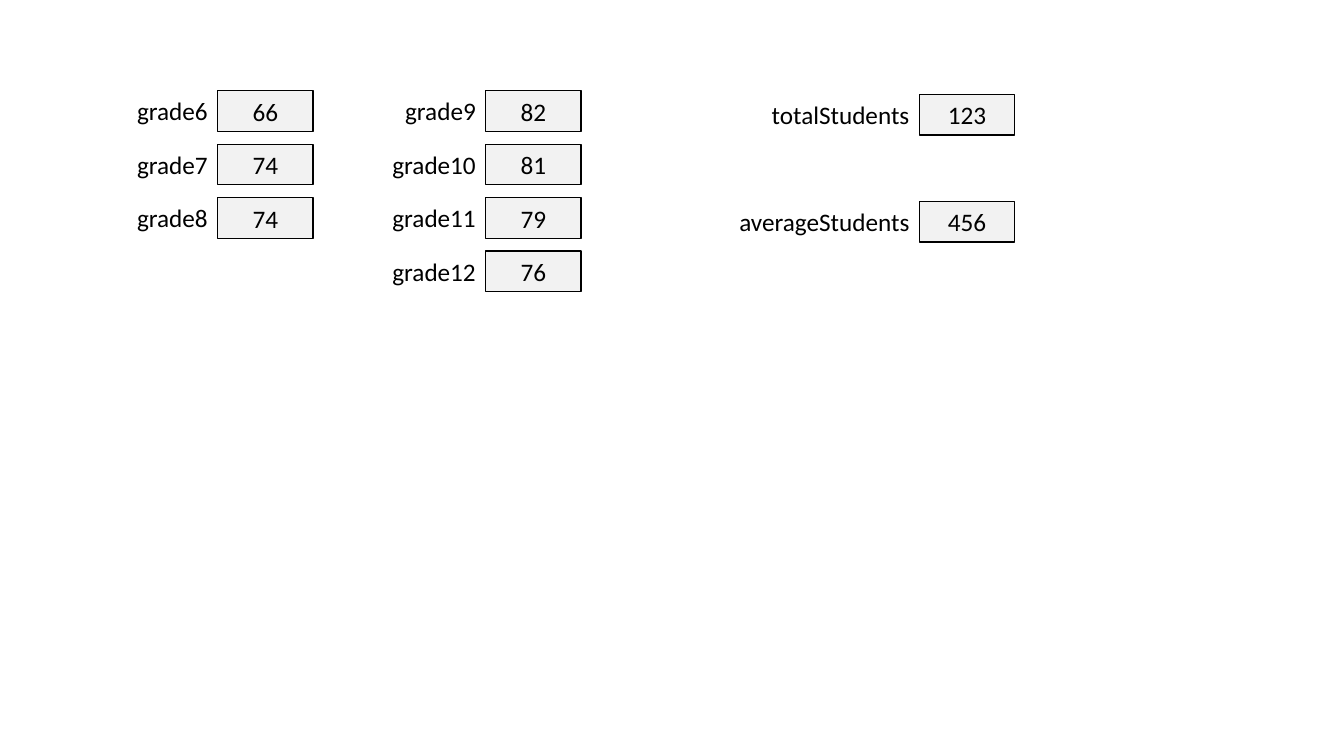
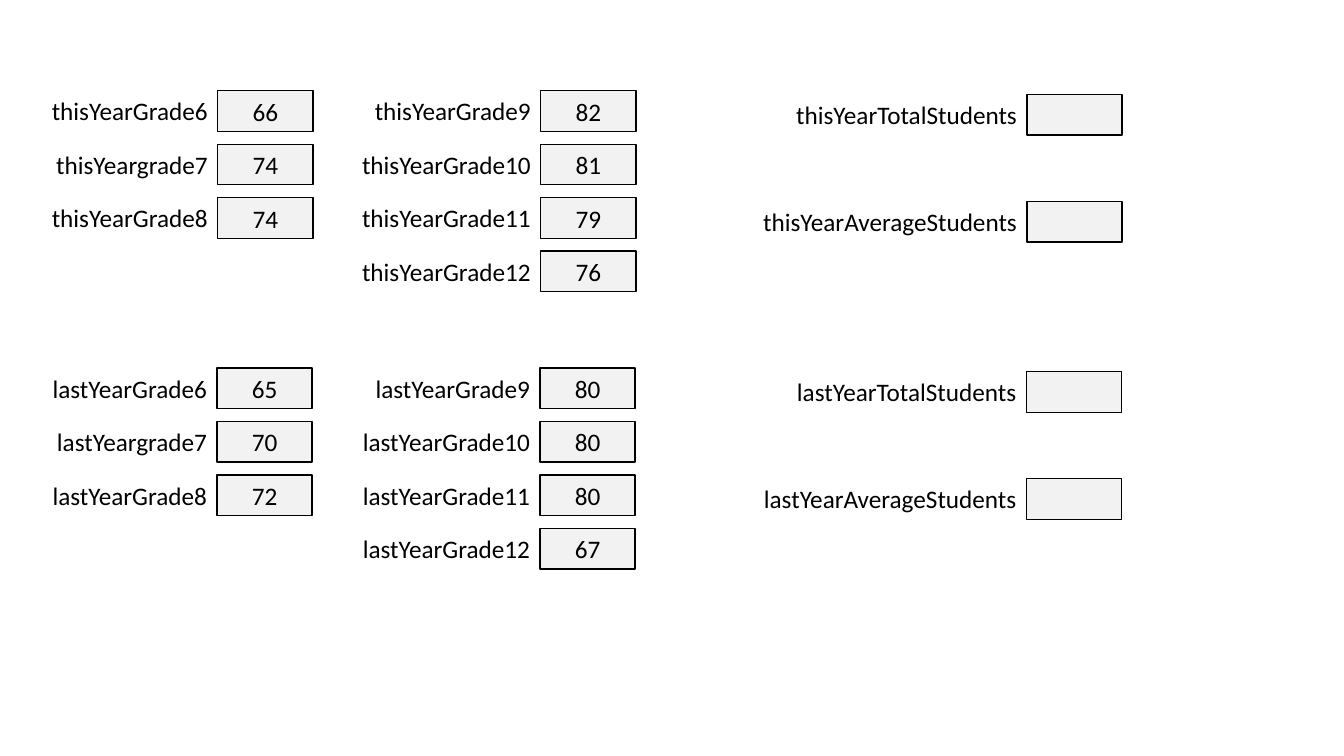
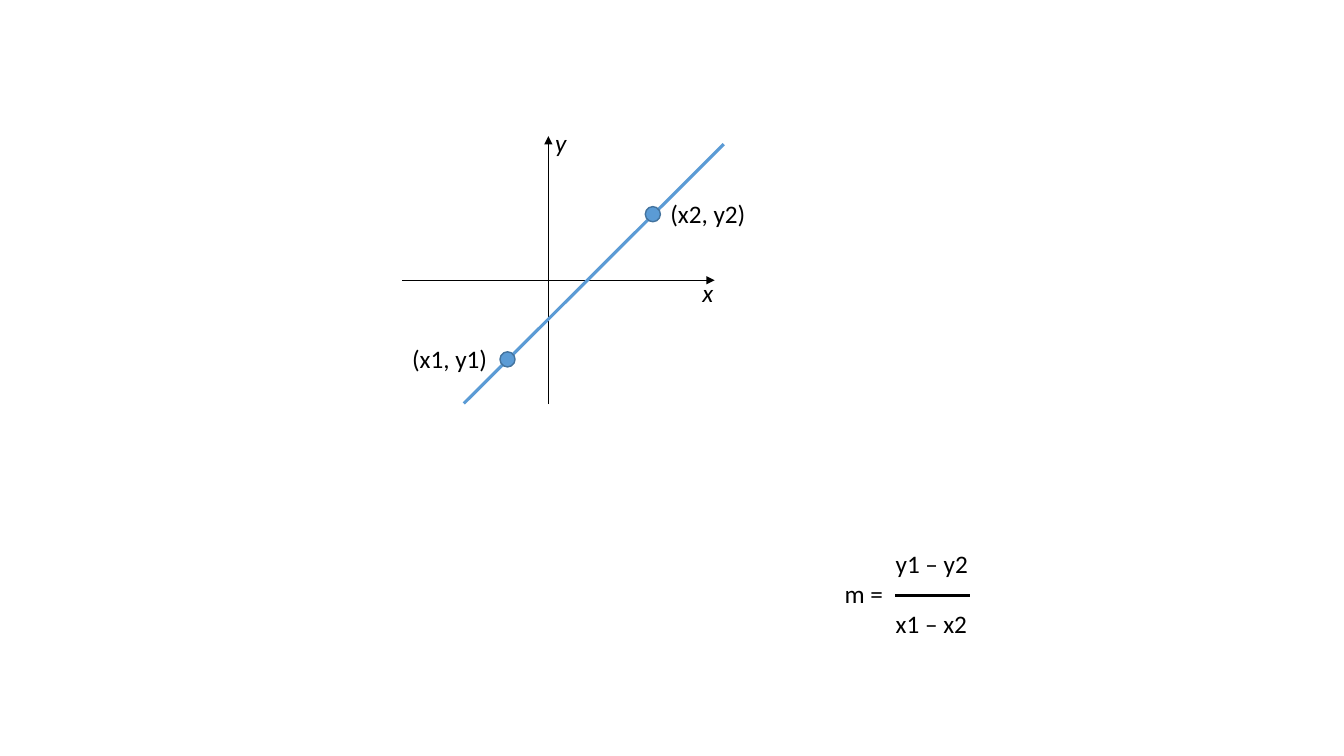
from lxml import etree
from pptx import Presentation
from pptx.dml.color import RGBColor
from pptx.enum.shapes import MSO_CONNECTOR, MSO_SHAPE
from pptx.enum.text import MSO_ANCHOR, MSO_AUTO_SIZE, PP_ALIGN
from pptx.oxml.ns import qn
from pptx.util import Pt

RECTANGLE, OVAL = MSO_SHAPE.RECTANGLE, MSO_SHAPE.OVAL
STRAIGHT = MSO_CONNECTOR.STRAIGHT
MIDDLE = MSO_ANCHOR.MIDDLE
GROW = MSO_AUTO_SIZE.SHAPE_TO_FIT_TEXT
LEFT, CENTER, RIGHT = PP_ALIGN.LEFT, PP_ALIGN.CENTER, PP_ALIGN.RIGHT

COLORS = {"ink": "000000", "cell": "F2F2F2", "accent": "5B9BD5", "dot_edge": "43739E"}
FONT = "Calibri"
FONT_SIZE = 18
ROW_HEIGHT = 29
ROW_PITCH = 38.2
CELL_WIDTH = 68
GRADE_LABEL = 191
TOTAL_LABEL = 248
DOT_SIZE = 10.8


def color(name):
    return RGBColor.from_string(COLORS[name])


def format_text(frame, align, italic=False):
    for para in frame.paragraphs:
        para.alignment = align
        for span in para.runs:
            span.font.name = FONT
            span.font.size = Pt(FONT_SIZE)
            span.font.italic = italic
            span.font.color.rgb = color("ink")


def add_text(page, left, top, width, text, align=LEFT, wrap=False, italic=False, height=ROW_HEIGHT):
    box = page.shapes.add_textbox(Pt(left), Pt(top), Pt(width), Pt(height))
    frame = box.text_frame
    frame.text = text
    frame.word_wrap = wrap
    frame.auto_size = GROW
    format_text(frame, align, italic)
    return box


def add_box(page, kind, left, top, width, height, fill, edge):
    box = page.shapes.add_shape(kind, Pt(left), Pt(top), Pt(width), Pt(height))
    box.shadow.inherit = False
    box.fill.solid()
    box.fill.fore_color.rgb = color(fill)
    box.line.color.rgb = color(edge)
    box.line.width = Pt(1)
    return box


def add_line(page, start, end, stroke, width, arrow=False):
    line = page.shapes.add_connector(STRAIGHT, *(Pt(value) for value in (*start, *end)))
    line.line.color.rgb = color(stroke)
    line.line.width = Pt(width)
    properties = line._element.spPr
    if arrow:
        etree.SubElement(properties.find(qn("a:ln")), qn("a:tailEnd"), type="triangle")
    etree.SubElement(properties, qn("a:effectLst"))


def variable_column(page, left, top, label_width, variables, pitch=ROW_PITCH):
    width = min(label_width, left)
    for row, (name, value) in enumerate(variables.items()):
        y = top + row * pitch
        add_text(page, left - width, y, width, name, RIGHT, wrap=True)
        cell = add_box(page, RECTANGLE, left, y, CELL_WIDTH, ROW_HEIGHT, "cell", "ink")
        if value:
            cell.text_frame.text = value
            cell.text_frame.vertical_anchor = MIDDLE
            format_text(cell.text_frame, CENTER)


def variable_block(page, left, top, upper_offset, total_offset, middle, upper, totals):
    variable_column(page, left, top, GRADE_LABEL, middle)
    variable_column(page, left + upper_offset, top, GRADE_LABEL, upper)
    variable_column(page, left + total_offset, top + 2.7, TOTAL_LABEL, totals, 2 * ROW_PITCH)


def year_block(page, left, top, year, middle, upper):
    middle_names = (f"{year}Grade6", f"{year}grade7", f"{year}Grade8")
    upper_names = (f"{year}Grade{grade}" for grade in range(9, 13))
    totals = {f"{year}TotalStudents": "", f"{year}AverageStudents": ""}
    variable_block(page, left, top, 230.7, 578, dict(zip(middle_names, middle)),
                   dict(zip(upper_names, upper)), totals)


def line_graph(page, left, top):
    def at(x, y):
        return left + x, top + y

    add_line(page, at(104.4, 191.5), at(104.4, 0), "ink", 0.5, arrow=True)
    add_line(page, at(0, 103), at(223.2, 103), "ink", 0.5, arrow=True)
    add_line(page, at(44, 191), at(229.7, 5.8), "accent", 2.25)
    points = (("(x1, y1)", 75.2, 159.5, -75.2), ("(x2, y2)", 179, 55.8, 5.4))
    for name, x, y, label_offset in points:
        add_text(page, *at(x + label_offset, y - 15), 69, name)
        add_box(page, OVAL, *at(x - DOT_SIZE / 2, y - DOT_SIZE / 2),
                DOT_SIZE, DOT_SIZE, "accent", "dot_edge")
    add_text(page, *at(102.2, -10), 23, "y", italic=True)
    add_text(page, *at(207.4, 97.2), 22.3, "x", italic=True)


def slope_formula(page, left, top):
    formula = add_text(page, left, top, 127.4, "y1 – y2\nm =\nx1 – x2", wrap=True, height=72.7)
    for para in formula.text_frame.paragraphs[::2]:
        para._p.get_or_add_pPr().set("marL", str(Pt(36.5)))
    add_line(page, (left + 43.2, top + 37.4), (left + 96.5, top + 37.4), "ink", 2.25)


def main():
    deck = Presentation()
    deck.slide_width, deck.slide_height = Pt(960), Pt(540)
    grades, years, slope = (deck.slides.add_slide(deck.slide_layouts[6]) for _ in range(3))

    middle, upper = ("66", "74", "74"), ("82", "81", "79", "76")
    variable_block(
        grades, 155.5, 64.8, 191.5, 501.2,
        {f"grade{grade}": value for grade, value in enumerate(middle, 6)},
        {f"grade{grade}": value for grade, value in enumerate(upper, 9)},
        {"totalStudents": "123", "averageStudents": "456"})

    year_block(years, 155.5, 64.8, "thisYear", middle, upper)
    year_block(years, 155, 262.8, "lastYear", ("65", "70", "72"), ("80", "80", "80", "67"))

    line_graph(slope, 287.3, 97.2)
    slope_formula(slope, 596.2, 388)
    deck.save("out.pptx")


if __name__ == "__main__":
    main()
